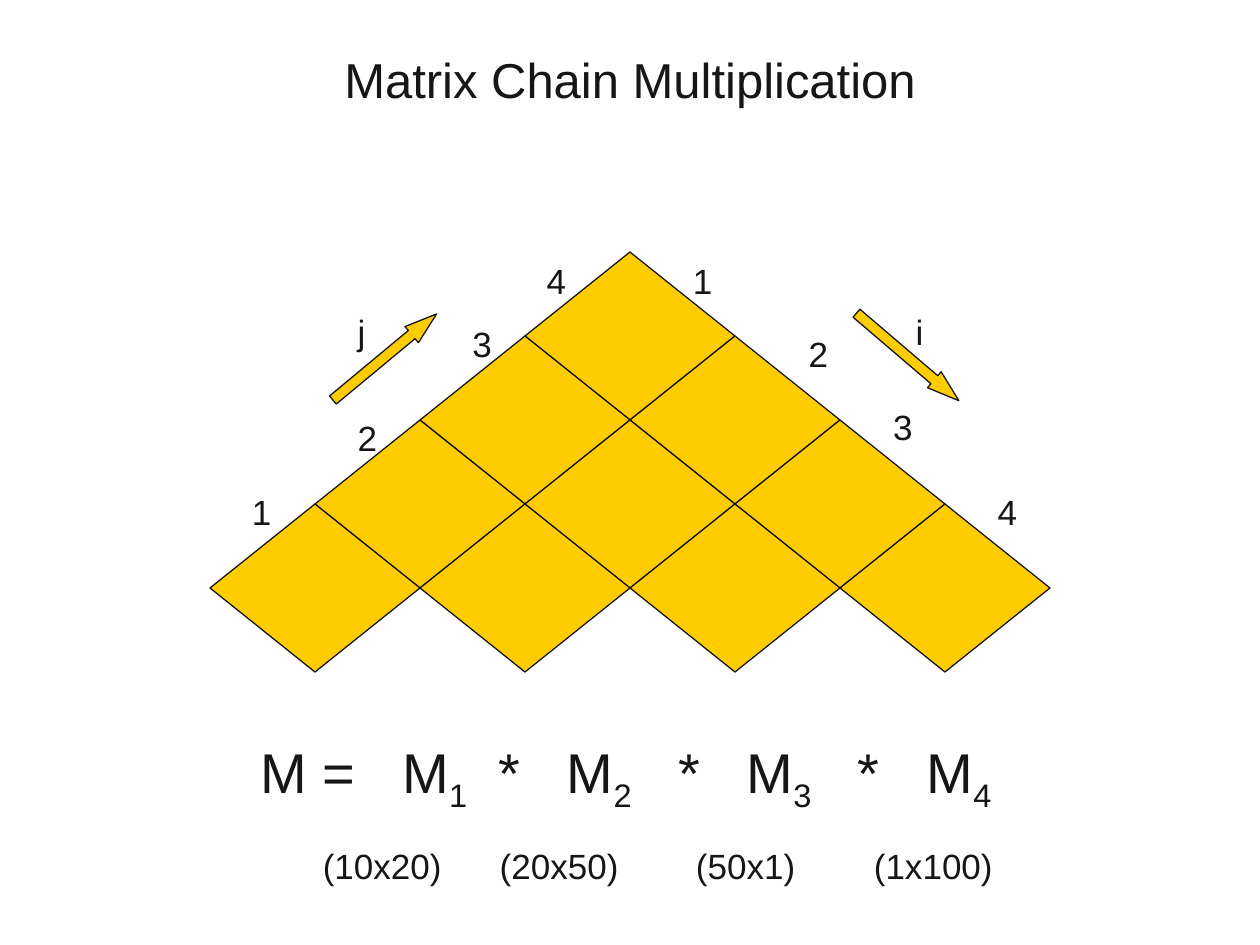
from typing import NamedTuple

from lxml import etree
from pptx import Presentation
from pptx import util as u
from pptx.dml.color import RGBColor
from pptx.enum import shapes, text
from pptx.oxml.ns import qn

COLORS = {"ink": "161616", "gold": "FFCC00"}
FONT = "Arial"
ROWS = 4
CELL_W, CELL_H = 120, 96


class Label(NamedTuple):
    text: str
    left: float
    top: float
    width: float = 25


class Arrow(NamedTuple):
    left: float
    rotation: float


LABELS = [
    # j runs up the left edge
    Label("j", 197.3, 174, 19),
    Label("1", 136.8, 276.5), Label("2", 197.3, 234.7),
    Label("3", 262.8, 180.7), Label("4", 305.3, 144.7),
    # i runs down the right edge
    Label("i", 516.2, 174, 19),
    Label("1", 388.8, 144.7), Label("2", 455, 186.5),
    Label("3", 503.3, 228.2), Label("4", 563, 276.5),
]
ARROWS = [Arrow(181.4, 320.3), Arrow(480.2, 40.5)]
SIZES = ["(10x20)", "(20x50)", "(50x1)", "(1x100)"]
FORMULA_TABS = [81, 135.7, 175, 238.5, 277.7, 341.3, 380.5]
SIZE_TABS = [35.5, 136.6, 248.7, 350.4]


def rgb(name: str) -> RGBColor:
    return RGBColor.from_string(COLORS[name])


def add_run(paragraph, words: str, size: float, subscript: bool = False) -> None:
    run = paragraph.add_run()
    run.text = words
    for key, value in {"name": FONT, "size": u.Pt(size)}.items():
        setattr(run.font, key, value)
    run.font.color.rgb = rgb("ink")
    if subscript:
        run.font._element.set("baseline", "-25000")


def add_box(slide, left: float, top: float, width: float, height: float, **formats):
    box = slide.shapes.add_textbox(u.Pt(left), u.Pt(top), u.Pt(width), u.Pt(height))
    for key, value in formats.items():
        setattr(box.text_frame, key, value)
    return box.text_frame


def add_gold(slide, kind, left: float, top: float, width: float, height: float):
    shape = slide.shapes.add_shape(kind, u.Pt(left), u.Pt(top), u.Pt(width), u.Pt(height))
    shape.shadow.inherit = False
    shape.fill.solid()
    shape.fill.fore_color.rgb = rgb("gold")
    shape.line.color.rgb = rgb("ink")
    shape.line.width = u.Pt(0.75)
    return shape


def set_tabs(paragraph, stops: list[float]) -> None:
    tab_list = etree.SubElement(paragraph._p.get_or_add_pPr(), qn("a:tabLst"))
    for stop in stops:
        etree.SubElement(tab_list, qn("a:tab"), pos=str(u.Pt(stop)), algn="l")


def add_label(slide, label: Label) -> None:
    frame = add_box(slide, label.left, label.top, label.width, 31.5, word_wrap=False)
    add_run(frame.paragraphs[0], label.text, 20)


def add_arrow(slide, arrow: Arrow) -> None:
    shape = add_gold(slide, shapes.MSO_SHAPE.RIGHT_ARROW, arrow.left, 198, 77, 12)
    shape.adjustments[0] = 0.5
    shape.adjustments[1] = 1.54
    shape.rotation = arrow.rotation


def add_product(slide) -> None:
    frame = add_box(slide, 149, 421.3, 440, 85, word_wrap=True, margin_left=0,
                    margin_right=0, margin_top=0, margin_bottom=0)
    formula = frame.paragraphs[0]
    set_tabs(formula, FORMULA_TABS)
    for number in range(1, len(SIZES) + 1):
        add_run(formula, "M =\tM" if number == 1 else "\t*\tM", 32)
        add_run(formula, str(number), 32, subscript=True)

    dimensions = frame.add_paragraph()
    dimensions.space_before = u.Pt(17.5)
    set_tabs(dimensions, SIZE_TABS)
    add_run(dimensions, "".join("\t" + size for size in SIZES), 20)


def main() -> None:
    deck = Presentation()
    deck.slide_width, deck.slide_height = u.Pt(720), u.Pt(540)
    slide = deck.slides.add_slide(deck.slide_layouts[6])

    # Title
    title = add_box(slide, 36, 24, 648, 42, word_wrap=True,
                    vertical_anchor=text.MSO_ANCHOR.MIDDLE)
    title.paragraphs[0].alignment = text.PP_ALIGN.CENTER
    add_run(title.paragraphs[0], "Matrix Chain Multiplication", 28)

    # Product with the size of each matrix
    add_product(slide)

    # Pyramid of table cells
    for row in range(ROWS):
        for column in range(row + 1):
            left = 300 + (column - row / 2) * CELL_W
            top = 144 + row * CELL_H / 2
            add_gold(slide, shapes.MSO_SHAPE.DIAMOND, left, top, CELL_W, CELL_H)

    # Index directions and values
    for arrow in ARROWS:
        add_arrow(slide, arrow)
    for label in LABELS:
        add_label(slide, label)

    deck.save("out.pptx")


if __name__ == "__main__":
    main()
